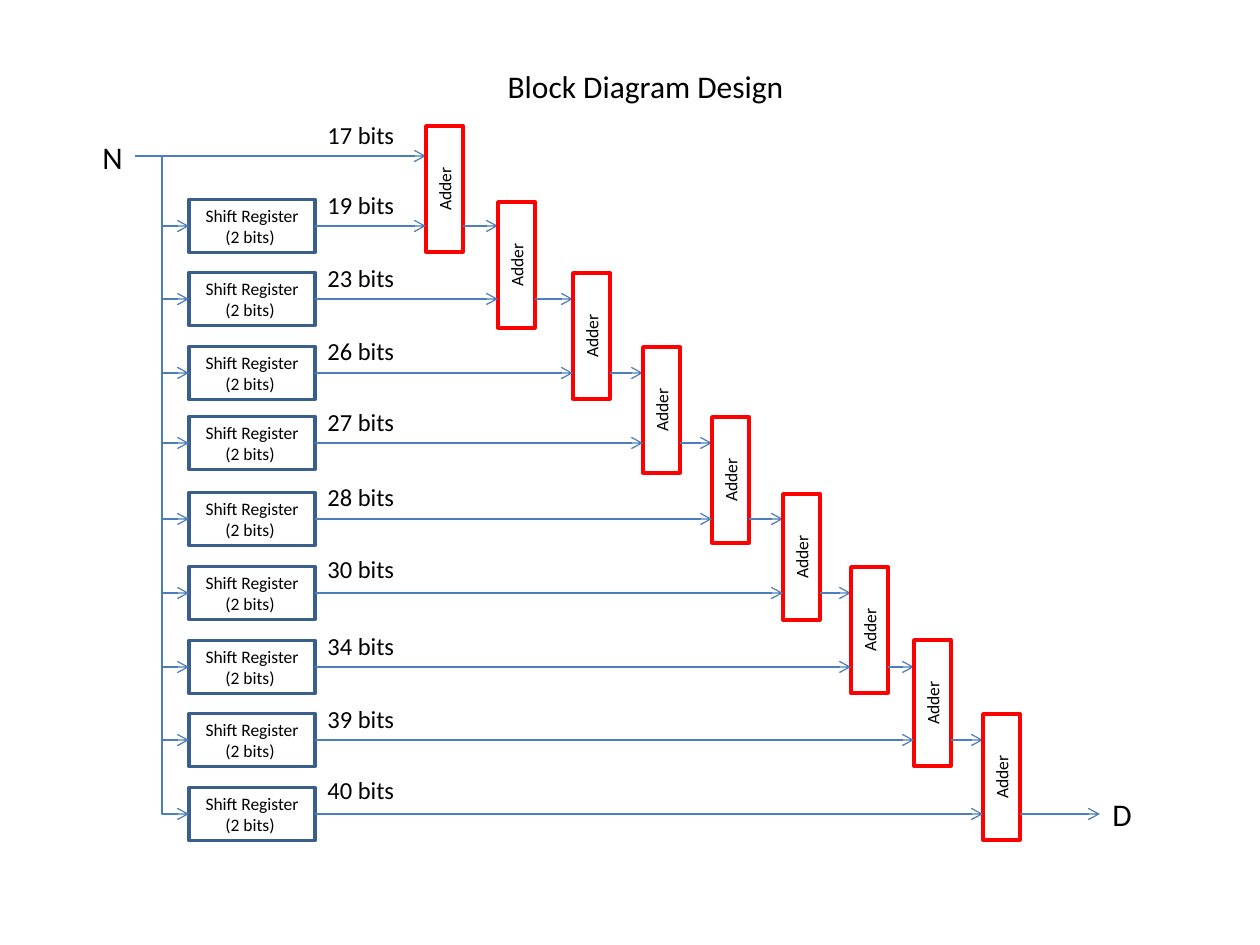
from copy import deepcopy

from lxml.etree import SubElement
from pptx import Presentation
from pptx.dml.color import RGBColor
from pptx.enum.shapes import MSO_CONNECTOR as CONN, MSO_SHAPE as SHAPE
from pptx.enum.text import MSO_ANCHOR as ANCHOR, MSO_AUTO_SIZE as FIT, PP_ALIGN as ALIGN
from pptx.oxml.ns import qn
from pptx.util import Pt

SCALE = 914400 / 126
BLUE, NAVY, RED = "4B7EBC", "3A5F8C", "FF0000"
TRUNK_X, INPUT_Y = 135, 156
REG_X, REG_W, REG_H = 189, 126, 53
ADDER_W, ADDER_H = 37, 126
OUTPUT_X = 1100
LABEL_X = REG_X + REG_W

# bits, label top, row centre, adder left, adder top
STAGES = [
    ("19 bits", 184, 226, 426, 126),
    ("23 bits", 257, 299, 498, 202),
    ("26 bits", 330, 373, 573, 273),
    ("27 bits", 401, 443, 643, 347),
    ("28 bits", 476, 519, 712, 417),
    ("30 bits", 548, 593, 783, 494),
    ("34 bits", 625, 667, 851, 567),
    ("39 bits", 698, 740, 914, 640),
    ("40 bits", 769, 814, 983, 714),
]


def px(*values):
    return [round(v * SCALE) for v in values]


def rgb(value):
    return RGBColor.from_string(value)


def write(s, text, size=18, align=ALIGN.LEFT, anchor=ANCHOR.TOP, wrap=False, fit=FIT.NONE, vert=None):
    tf = s.text_frame
    tf.word_wrap, tf.auto_size, tf.vertical_anchor = wrap, fit, anchor
    if vert:
        tf._txBody.bodyPr.set("vert", vert)
    p = tf.paragraphs[0]
    p.text, p.alignment = text, align
    for r in p.runs:
        r.font.name, r.font.size = "Calibri", Pt(size)
        r.font.color.rgb = rgb("000000")
    for br in p._p.findall(qn("a:br")):
        br.append(deepcopy(p.runs[0]._r.rPr))


def add_label(sp, text, x, y, w, h, size=18):
    write(sp.add_textbox(*px(x, y, w, h)), text, size=size, fit=FIT.SHAPE_TO_FIT_TEXT)


def add_block(sp, text, x, y, w, h, color, vert=None):
    s = sp.add_shape(SHAPE.RECTANGLE, *px(x, y, w, h))
    s.shadow.inherit = False
    s.fill.solid()
    s.fill.fore_color.rgb = rgb("FFFFFF")
    s.line.color.rgb = rgb(color)
    s.line.width = Pt(2)
    write(s, text, size=10, align=ALIGN.CENTER, anchor=ANCHOR.MIDDLE, wrap=True, vert=vert)


def add_arrow(sp, x1, y1, x2, y2, kind=CONN.STRAIGHT):
    s = sp.add_connector(kind, *px(x1, y1, x2, y2))
    s.line.color.rgb = rgb(BLUE)
    s.line.width = Pt(0.75)
    SubElement(s.line._get_or_add_ln(), qn("a:tailEnd"), type="arrow")
    SubElement(s._element.spPr, qn("a:effectLst"))


def add_title(sp, text, x, y, w, h):
    s = sp.title
    s.left, s.top, s.width, s.height = px(x, y, w, h)
    write(s, text)


def add_stage(sp, stage, next_x):
    bits, label_y, y, adder_x, adder_y = stage
    add_block(sp, "Shift Register\n(2 bits) ", REG_X, y - REG_H / 2, REG_W, REG_H, NAVY)
    add_block(sp, "Adder", adder_x, adder_y, ADDER_W, ADDER_H, RED, vert="vert270")
    add_arrow(sp, TRUNK_X, INPUT_Y, REG_X, y, kind=CONN.ELBOW)
    add_arrow(sp, REG_X + REG_W, y, adder_x, y)
    add_arrow(sp, adder_x + ADDER_W, y, next_x, y)
    add_label(sp, bits, LABEL_X, label_y, 93, 42, size=14)


def main():
    prs = Presentation()
    prs.slide_width, prs.slide_height = px(1260, 945)
    sp = prs.slides.add_slide(prs.slide_layouts[5]).shapes
    add_title(sp, "Block Diagram Design", 495, 61, 305, 51)
    add_label(sp, "N", 90, 132, 45, 51)
    add_label(sp, "17 bits", LABEL_X, 114, 93, 42, size=14)
    add_arrow(sp, TRUNK_X, INPUT_Y, STAGES[0][3], INPUT_Y)
    next_xs = [stage[3] for stage in STAGES[1:]] + [OUTPUT_X]
    for stage, next_x in zip(STAGES, next_xs):
        add_stage(sp, stage, next_x)
    add_label(sp, "D", OUTPUT_X, 789, 45, 51)
    prs.save("out.pptx")


main()
